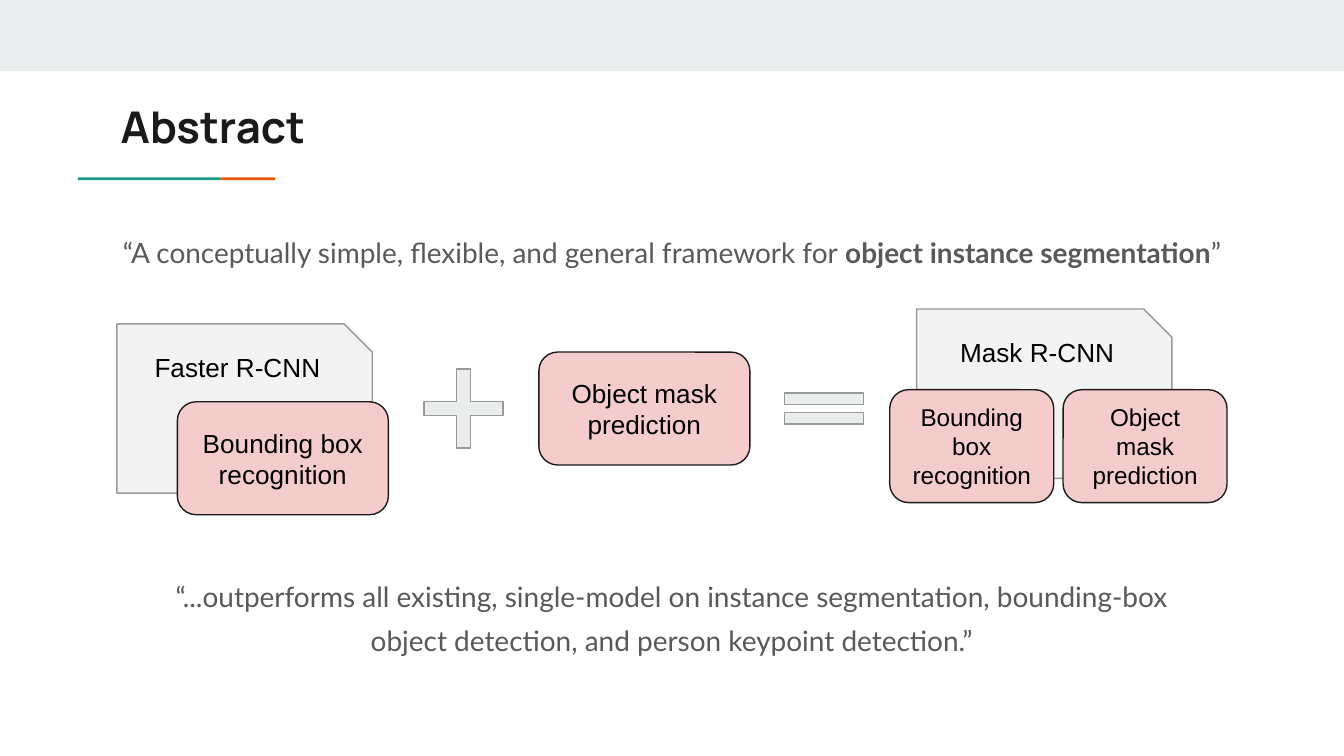
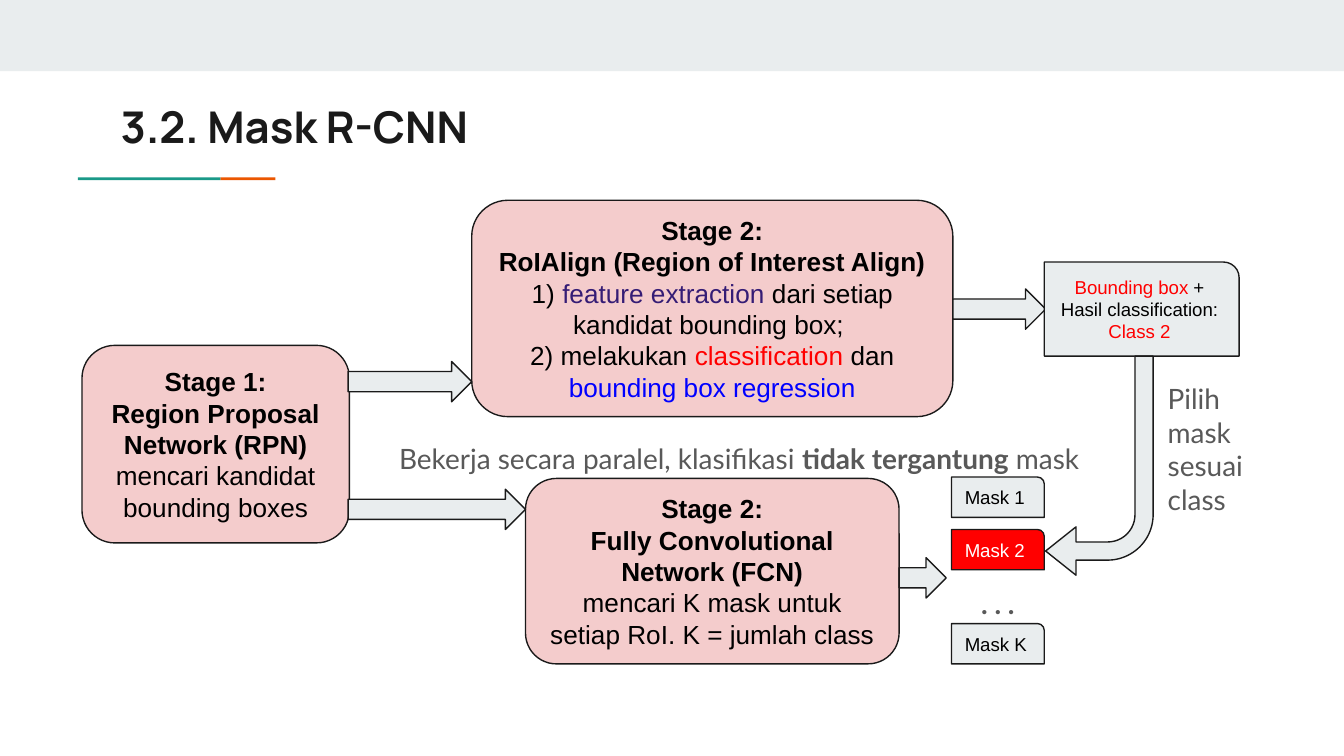
"""Builds two slides that explain Mask R-CNN."""
from pptx import Presentation
from pptx.dml.color import RGBColor
from pptx.enum.shapes import MSO_SHAPE as Shape
from pptx.enum.text import MSO_ANCHOR as Anchor, PP_ALIGN as Align
from pptx.util import Inches, Pt

WHITE = RGBColor(0xFF, 0xFF, 0xFF)
BLACK = RGBColor(0x00, 0x00, 0x00)
INK = RGBColor(0x1A, 0x1A, 0x1A)
BODY_GRAY = RGBColor(0x59, 0x59, 0x59)
EDGE_GRAY = RGBColor(0x99, 0x99, 0x99)
CARD_GRAY = RGBColor(0xF3, 0xF3, 0xF3)
MIST = RGBColor(0xE9, 0xED, 0xEE)
PINK = RGBColor(0xF4, 0xCC, 0xCC)
GREEN = RGBColor(0x1A, 0x99, 0x88)
ORANGE = RGBColor(0xEB, 0x56, 0x00)
RED = RGBColor(0xFF, 0x00, 0x00)
BLUE = RGBColor(0x00, 0x00, 0xFF)
PURPLE = RGBColor(0x35, 0x1C, 0x75)


def write(shape, paragraphs, size=14, font="Arial", color=BLACK, bold=False,
          align=Align.CENTER, anchor=Anchor.MIDDLE, spacing=1.0):
    """Fill a shape with paragraphs, each a list of (text, overrides) spans."""
    frame = shape.text_frame
    frame.word_wrap = True
    frame.vertical_anchor = anchor
    frame.margin_left = frame.margin_right = Inches(0.1)
    frame.margin_top = frame.margin_bottom = Inches(0.1)
    for index, spans in enumerate(paragraphs):
        para = frame.paragraphs[0] if index == 0 else frame.add_paragraph()
        para.alignment = align
        para.line_spacing = spacing
        for text, changes in spans:
            span = para.add_run()
            span.text = text
            span.font.name = font
            span.font.size = Pt(size)
            span.font.bold = changes.get("bold", bold)
            span.font.color.rgb = changes.get("color", color)


def plain(text, **changes):
    """Return a paragraph made of one span."""
    return [(text, changes)]


def add_box(page, kind, place, fill, line=INK, adjust=()):
    """Add a flat preset shape at (left, top, width, height)."""
    box = page.shapes.add_shape(kind, *map(Inches, place))
    box.shadow.inherit = False
    box.fill.solid()
    box.fill.fore_color.rgb = fill
    if line is None:
        box.line.fill.background()
    else:
        box.line.color.rgb = line
        box.line.width = Pt(0.75)
    for index, value in enumerate(adjust):
        box.adjustments[index] = value
    return box


def add_text(page, place, paragraphs, **style):
    """Add a text box in the body style unless told otherwise."""
    box = page.shapes.add_textbox(*map(Inches, place))
    body = dict(size=15, font="Lato", color=BODY_GRAY,
                anchor=Anchor.TOP, spacing=1.3)
    write(box, paragraphs, **{**body, **style})


def add_process(page, place, paragraphs, size=14):
    """Add a pink rounded process box."""
    box = add_box(page, Shape.FLOWCHART_ALTERNATE_PROCESS, place, PINK)
    write(box, paragraphs, size=size)


def add_model(page, left, top, name):
    """Add a gray card with a snipped corner that names a model."""
    card = add_box(page, Shape.SNIP_1_RECTANGLE, (left, top, 1.9, 1.26),
                   CARD_GRAY, EDGE_GRAY)
    write(card, [plain(name)], anchor=Anchor.TOP)


def add_result(page, place, paragraphs, fill=MIST, **style):
    """Add a small result box with one rounded corner."""
    box = add_box(page, Shape.ROUND_1_RECTANGLE, place, fill)
    write(box, paragraphs, size=10, **style)


def add_arrow(page, left, top, width):
    """Add a block arrow that points right."""
    add_box(page, Shape.RIGHT_ARROW, (left, top, width, 0.3), MIST)


def add_page(deck, title):
    """Add a slide with the top band, the two-colour rule and its title."""
    page = deck.slides.add_slide(deck.slide_layouts[6])
    add_box(page, Shape.RECTANGLE, (0, 0, 10, 0.53), MIST, None)
    for left, width, color in ((1.64, 0.41, ORANGE), (0.58, 1.06, GREEN)):
        add_box(page, Shape.RECTANGLE, (left, 1.32, width, 0.02), color, None)
    add_text(page, (0.8, 0.64, 8.41, 0.59), [plain(title)], size=23.4,
             font="Manrope", color=INK, bold=True, align=Align.LEFT,
             spacing=1.0)
    return page


def build_abstract(deck):
    """Build the slide that sums up the method as an addition."""
    page = add_page(deck, "Abstract")
    add_text(page, (0.75, 1.58, 8.5, 0.71), [[
        ("“A conceptually simple, flexible, and general framework for ", {}),
        ("object instance segmentation", {"bold": True}),
        ("”", {})]])
    recognition = [plain("Bounding box recognition")]
    prediction = [plain("Object mask prediction")]
    add_model(page, 0.87, 2.41, "Faster R-CNN")
    add_process(page, (1.32, 2.99, 1.57, 0.84), recognition)
    add_box(page, Shape.MATH_PLUS, (3.05, 2.64, 0.8, 0.8), MIST, EDGE_GRAY,
            (0.129,))
    add_process(page, (4.01, 2.62, 1.57, 0.84), prediction)
    add_model(page, 6.82, 2.3, "Mask R-CNN")
    add_box(page, Shape.MATH_EQUAL, (5.73, 2.79, 0.8, 0.5), MIST, EDGE_GRAY,
            (0.171, 0.118))
    for left, part in ((6.62, recognition), (7.91, prediction)):
        add_process(page, (left, 2.9, 1.22, 0.84), part, size=13)
    add_text(page, (0.75, 4.14, 8.5, 0.71), [
        plain("“...outperforms all existing, single-model on instance "
              "segmentation, bounding-box"),
        plain("object detection, and person keypoint detection.”")])


def build_stages(deck):
    """Build the slide that shows both stages and their results."""
    page = add_page(deck, "3.2. Mask R-CNN")
    add_process(page, (0.61, 2.57, 1.99, 1.47), [
        plain("Stage 1:", bold=True),
        plain("Region Proposal Network (RPN)", bold=True),
        plain("mencari kandidat bounding boxes")])
    add_process(page, (3.51, 1.49, 3.58, 1.61), [
        plain("Stage 2:", bold=True),
        plain("RoIAlign (Region of Interest Align)", bold=True),
        [("1) ", {}), ("feature extraction", {"color": PURPLE}),
         (" dari setiap kandidat bounding box; ", {})],
        [("2) melakukan ", {}), ("classification", {"color": RED}),
         (" dan ", {}), ("bounding box regression", {"color": BLUE})]])
    add_process(page, (3.91, 3.56, 2.78, 1.38), [
        plain("Stage 2:", bold=True),
        plain("Fully Convolutional Network (FCN)", bold=True),
        plain("mencari K mask untuk setiap RoI. K = jumlah class")])
    for left, top, width in ((2.59, 2.69, 0.92), (2.59, 3.64, 1.32),
                             (6.69, 4.15, 0.35), (7.09, 2.15, 0.69)):
        add_arrow(page, left, top, width)
    add_text(page, (2.71, 3.11, 5.58, 0.44), [[
        ("Bekerja secara paralel, klasifikasi ", {}),
        ("tidak tergantung", {"bold": True}),
        (" mask", {})]])
    for name, top, fill, color in (("Mask 1", 3.55, MIST, BLACK),
                                   ("Mask 2", 3.94, RED, WHITE),
                                   ("Mask K", 4.64, MIST, BLACK)):
        add_result(page, (7.08, top, 0.69, 0.3), [plain(name)], fill,
                   color=color, align=Align.LEFT)
    add_text(page, (7.04, 4.19, 0.77, 0.22), [plain(". . .")], bold=True)
    add_result(page, (7.77, 1.95, 1.45, 0.7), [[
        ("Bounding box", {"color": RED}),
        (" + Hasil classification: ", {}),
        ("Class 2", {"color": RED})]])
    bend = add_box(page, Shape.BENT_ARROW, (7.78, 2.65, 0.8, 1.63), MIST,
                   adjust=(0.169, 0.225, 0.282, 0.423))
    bend.rotation = 180
    add_text(page, (8.59, 2.74, 0.86, 1.19),
             [plain("Pilih mask sesuai class")], align=Align.LEFT, spacing=1.0)


def main():
    """Build the deck in 16:9 and save it."""
    deck = Presentation()
    deck.slide_width = Inches(10)
    deck.slide_height = deck.slide_width * 9 // 16
    build_abstract(deck)
    build_stages(deck)
    deck.save("out.pptx")


if __name__ == "__main__":
    main()
